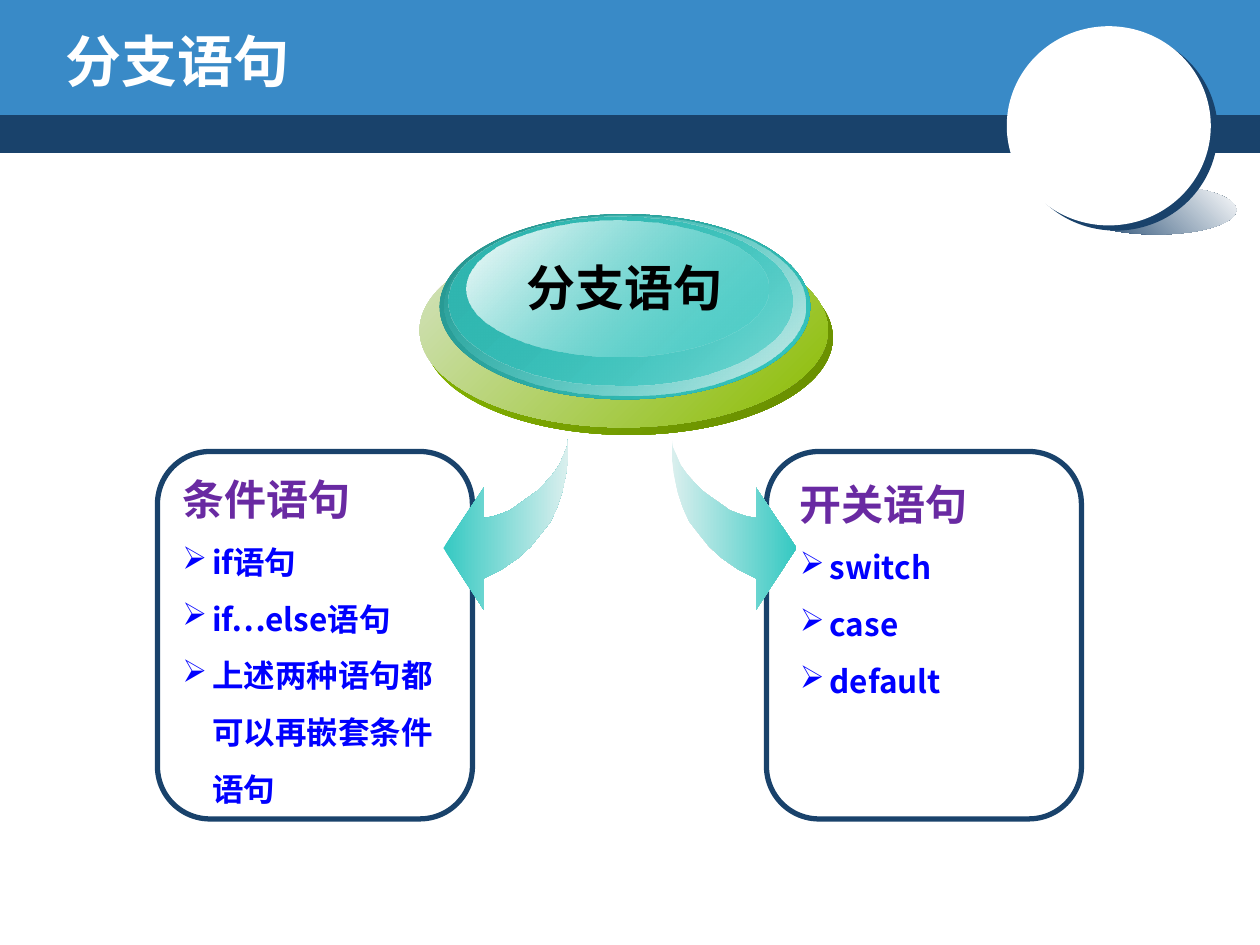
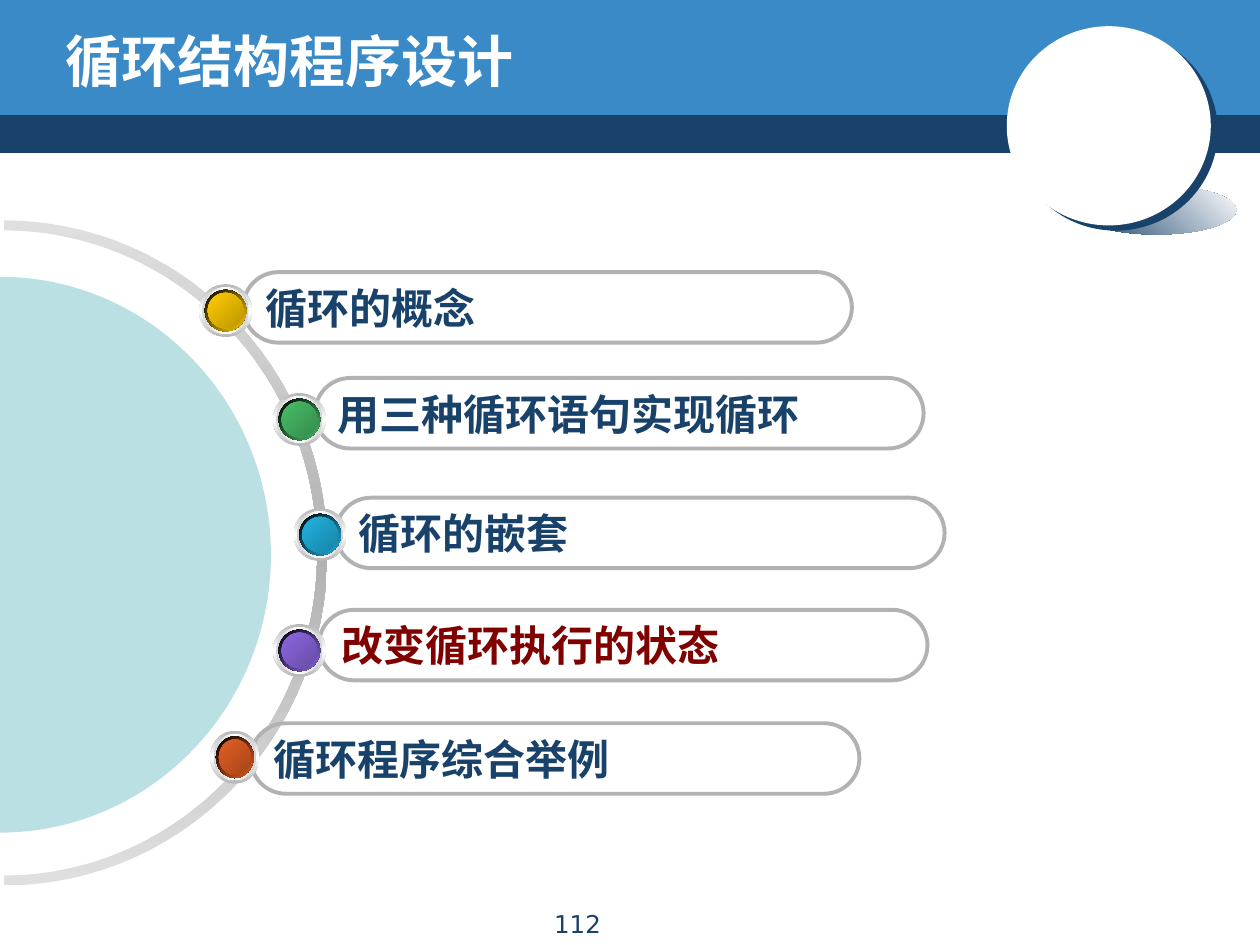
from dataclasses import dataclass
from typing import NamedTuple

from lxml import etree
from pptx import Presentation
from pptx.dml.color import RGBColor
from pptx.enum.shapes import MSO_SHAPE
from pptx.enum.text import MSO_ANCHOR, MSO_AUTO_SIZE, PP_ALIGN
from pptx.oxml import parse_xml
from pptx.oxml.ns import nsdecls, qn
from pptx.util import Pt

RECTANGLE, ROUNDED, OVAL = MSO_SHAPE.RECTANGLE, MSO_SHAPE.ROUNDED_RECTANGLE, MSO_SHAPE.OVAL
MIDDLE, TOP = MSO_ANCHOR.MIDDLE, MSO_ANCHOR.TOP
LEFT, CENTER = PP_ALIGN.LEFT, PP_ALIGN.CENTER
NO_AUTOFIT = MSO_AUTO_SIZE.NONE

WHITE = RGBColor(0xFF, 0xFF, 0xFF)
BLACK = RGBColor(0, 0, 0)
NAVY = RGBColor(0x19, 0x42, 0x6B)
SKY = RGBColor(0x39, 0x8A, 0xC7)
PURPLE = RGBColor(0x69, 0x2A, 0xA2)
BLUE = RGBColor(0, 0, 0xFF)
MAROON = RGBColor(0x80, 0, 0)
TEAL = RGBColor(0x35, 0xC9, 0xC2)
MIST = RGBColor(0xBB, 0xE0, 0xE3)
LIME = RGBColor(0x8B, 0xBC, 0x00)
GRAY = RGBColor(0xB2, 0xB2, 0xB2)
GOLD = RGBColor(0xFF, 0xCC, 0x00)
GREEN = RGBColor(0x48, 0xBE, 0x67)
CYAN = RGBColor(0x21, 0xB3, 0xE1)
VIOLET = RGBColor(0x8D, 0x67, 0xE1)
ORANGE = RGBColor(0xE3, 0x5E, 0x23)

CJK = "Noto Sans CJK SC"
CJK_PILL = "Noto Sans CJK JP"
COMIC = "Comic Neue"
NUMBER_FONT = "DejaVu Sans"
BULLET_FONT = "OpenSymbol"


class Frame(NamedTuple):
    left: float
    top: float
    width: float
    height: float

    def inset(self, by: float) -> "Frame":
        return Frame(self.left + by, self.top + by, self.width - 2 * by, self.height - 2 * by)


class Tone(NamedTuple):
    color: RGBColor
    effect: str = "alpha"
    percent: int = 100


@dataclass(frozen=True)
class Gradient:
    angle: int
    tones: tuple[Tone, ...]


@dataclass(frozen=True)
class TextStyle:
    size: float
    color: RGBColor
    font: str = CJK
    bold: bool = True


@dataclass(frozen=True)
class Card:
    outline: Frame
    text: Frame
    heading: str
    items: tuple[str, ...]


@dataclass(frozen=True)
class Topic:
    label: str
    pill_left: float
    pill_top: float
    bead: Frame
    bead_color: RGBColor
    color: RGBColor = NAVY


def blend(angle: int, *tones: Tone) -> Gradient:
    return Gradient(angle, tones)


TITLE_FRAME = Frame(30, 10.6, 582, 48)
CARDS = (
    Card(Frame(438, 258, 180, 210), Frame(450, 270, 162, 135), "开关语句",
         ("switch", "case", "default")),
    Card(Frame(90, 258, 180, 210), Frame(97.2, 267, 160.5, 200), "条件语句",
         ("if语句", "if…else语句", "上述两种语句都可以再嵌套条件语句")),
)
ARROW_OUTLINE = (
    (0, 0), (0, 10.8), (1.4, 20.9), (3.6, 31), (6.5, 39.6), (10.1, 47.5), (15.8, 54.7),
    (21.6, 61.9), (28.8, 68.4), (38.2, 74.9), (48.2, 79.9), (48.2, 97.9), (71.3, 62.6),
    (48.2, 28.1), (48.2, 45.4), (43.2, 44.6), (38.9, 43.2), (33.1, 41), (28.1, 37.4),
    (23, 33.8), (18, 30.2), (13, 25.2), (8.6, 20.2), (5, 15.1), (2.9, 10.1), (0.7, 5),
)
ARROW_TOP = 250.6
BUTTON_LAYERS = (
    (Frame(242.6, 137.5, 233.3, 111), blend(45, Tone(LIME), Tone(LIME, "shade", 50))),
    (Frame(239.8, 133.2, 233.3, 111), blend(45, Tone(LIME, "tint", 44), Tone(LIME))),
    (Frame(251.3, 122.4, 211.7, 105.8), blend(45, Tone(TEAL, "shade", 48), Tone(TEAL))),
    (Frame(254.2, 123.1, 206, 103), blend(45, Tone(TEAL, "alpha", 0), Tone(TEAL, "tint", 35))),
    (Frame(256.3, 123.8, 196.6, 96.5),
     blend(45, Tone(TEAL, "shade", 80), Tone(TEAL, "alpha", 48))),
    (Frame(266.4, 126, 172.8, 77.8), blend(45, Tone(WHITE), Tone(TEAL, "alpha", 38))),
)
TOPICS = (
    Topic("循环的概念", 139, 155.5, Frame(113.8, 162.4, 30.2, 30.2), GOLD),
    Topic("用三种循环语句实现循环", 180, 216, Frame(156, 224.6, 30.2, 30.2), GREEN),
    Topic("循环的嵌套", 192, 284.4, Frame(167.8, 290.4, 30.2, 30.2), CYAN),
    Topic("改变循环执行的状态", 182.2, 348.5, Frame(156, 356.6, 30.2, 30.2), VIOLET, MAROON),
    Topic("循环程序综合举例", 143.3, 413.3, Frame(120.2, 417.6, 28, 30.2), ORANGE),
)


def paint(shape, fill: RGBColor | Gradient | None) -> None:
    shape.shadow.inherit = False
    shape.line.fill.background()
    if fill is None:
        shape.fill.background()
        return
    shape.fill.solid()
    if isinstance(fill, RGBColor):
        shape.fill.fore_color.rgb = fill
        return
    step = 100000 // (len(fill.tones) - 1)
    stops = "".join(
        f'<a:gs pos="{i * step}"><a:srgbClr val="{tone.color}">'
        f'<a:{tone.effect} val="{tone.percent * 1000}"/></a:srgbClr></a:gs>'
        for i, tone in enumerate(fill.tones))
    gradient = parse_xml(
        f'<a:gradFill {nsdecls("a")} rotWithShape="1"><a:gsLst>{stops}</a:gsLst>'
        f'<a:lin ang="{fill.angle * 60000}" scaled="1"/></a:gradFill>')
    properties = shape._element.spPr
    properties.replace(properties.find(qn("a:solidFill")), gradient)


def add_preset(page, kind, frame: Frame, fill: RGBColor | Gradient | None):
    shape = page.shapes.add_shape(kind, *map(Pt, frame))
    paint(shape, fill)
    return shape


def add_outline(page, frame: Frame, corner: float, color: RGBColor, weight: float):
    shape = add_preset(page, ROUNDED, frame, None)
    shape.adjustments[0] = corner
    shape.line.color.rgb = color
    shape.line.width = Pt(weight)
    return shape


def add_polygon(page, points, fill: RGBColor | Gradient):
    corners = [(Pt(x), Pt(y)) for x, y in points]
    builder = page.shapes.build_freeform(*corners[0])
    builder.add_line_segments(corners[1:], close=True)
    shape = builder.convert_to_shape()
    paint(shape, fill)
    return shape


def add_curve(page, points, fill: RGBColor | Gradient) -> None:
    shape = add_polygon(page, points, fill)
    lines = list(shape._element.iter(qn("a:lnTo")))
    for first in range(0, len(points) - 1, 3):
        triple = lines[first:first + 3]
        curve = etree.Element(qn("a:cubicBezTo"))
        triple[0].addprevious(curve)
        for line in triple:
            curve.append(line[0])
            line.getparent().remove(line)


def half_arc(x: float, y: float, radius_x: float, radius_y: float) -> list[tuple[float, float]]:
    pull = 0.5523
    steps = ((0, -1), (pull, -1), (1, -pull), (1, 0), (1, pull), (pull, 1), (0, 1))
    return [(x + radius_x * across, y + radius_y * down) for across, down in steps]


def add_span(para, text: str, style: TextStyle) -> None:
    span = para.add_run()
    span.text = text
    font = span.font
    font.size, font.bold, font.name = Pt(style.size), style.bold, style.font
    font.color.rgb = style.color
    latin = span._r.rPr.find(qn("a:latin"))
    east_asian = etree.Element(qn("a:ea"))
    east_asian.set("typeface", CJK if style.font == COMIC else style.font)
    latin.addnext(east_asian)


def set_text(shape, text: str, style: TextStyle, align=LEFT, anchor=MIDDLE) -> None:
    frame = shape.text_frame
    frame.auto_size = NO_AUTOFIT
    frame.word_wrap = True
    frame.vertical_anchor = anchor
    if anchor == MIDDLE:
        frame.margin_top = frame.margin_bottom = 0
    para = frame.paragraphs[0]
    para.alignment = align
    add_span(para, text, style)


def add_label(page, frame: Frame, text: str, style: TextStyle, align=LEFT, anchor=TOP):
    box = page.shapes.add_textbox(*map(Pt, frame))
    set_text(box, text, style, align, anchor)
    return box


def add_bullet(box, text: str, style: TextStyle) -> None:
    para = box.text_frame.add_paragraph()
    properties = para._p.get_or_add_pPr()
    properties.set("marL", str(Pt(17)))
    properties.set("indent", str(Pt(-17)))
    etree.SubElement(properties, qn("a:buFont")).set("typeface", BULLET_FONT)
    etree.SubElement(properties, qn("a:buChar")).set("char", "➢")
    para.line_spacing = Pt(32.5)
    add_span(para, text, style)


def add_page(deck, title: str, title_font: str):
    page = deck.slides.add_slide(deck.slide_layouts[5])
    add_preset(page, RECTANGLE, Frame(0, 62.8, 720, 24.6), NAVY)
    add_preset(page, RECTANGLE, Frame(0, 0, 720, 65.7), SKY)
    add_preset(page, OVAL, Frame(615, 106, 91.5, 28), blend(315, Tone(NAVY), Tone(WHITE)))
    medallion = add_preset(page, OVAL, Frame(575.3, 15, 116.6, 113.8), WHITE)
    effects = medallion._element.spPr.find(qn("a:effectLst"))
    effects.append(parse_xml(
        f'<a:outerShdw {nsdecls("a")} blurRad="0" dist="{Pt(5)}" dir="{37 * 60000}" '
        f'algn="ctr" rotWithShape="0"><a:srgbClr val="{NAVY}"/></a:outerShdw>'))
    add_preset(page, OVAL, Frame(615, 49, 41, 42.5), WHITE)
    heading = page.shapes.title
    heading.left, heading.top, heading.width, heading.height = map(Pt, TITLE_FRAME)
    set_text(heading, title, TextStyle(32, WHITE, title_font))
    page.shapes._spTree.append(heading._element)
    return page


def add_card(page, card: Card) -> None:
    add_outline(page, card.outline, 0.167, NAVY, 3)
    box = add_label(page, card.text, card.heading, TextStyle(24, PURPLE))
    box.text_frame.paragraphs[0].line_spacing = Pt(28.7)
    for item in card.items:
        add_bullet(box, item, TextStyle(18, BLUE))


def add_curved_arrow(page, tail: float, direction: int) -> None:
    points = [(tail + direction * x, ARROW_TOP + y) for x, y in ARROW_OUTLINE]
    tones = (Tone(TEAL), Tone(TEAL, "tint", 31))[::-direction]
    add_polygon(page, points, blend(0, *tones))


def add_topic(page, topic: Topic) -> None:
    pill = add_outline(page, Frame(topic.pill_left, topic.pill_top, 347.8, 40.3), 0.5, GRAY, 2.25)
    set_text(pill, topic.label, TextStyle(24, topic.color, CJK_PILL))
    rim, bevel = Tone(WHITE, "shade", 47), Tone(WHITE, "shade", 64)
    bright, dark = Tone(topic.bead_color), Tone(topic.bead_color, "shade", 50)
    layers = (
        (0, blend(90, rim, Tone(WHITE), rim)),
        (1.8, blend(0, bevel, Tone(WHITE), bevel)),
        (3.2, blend(45, Tone(BLACK), bright)),
        (4.9, blend(45, bright, dark)),
    )
    for inset, fill in layers:
        add_preset(page, OVAL, topic.bead.inset(inset), fill)


def build_branch_page(deck) -> None:
    page = add_page(deck, "分支语句", CJK)
    for card in CARDS:
        add_card(page, card)
    add_curved_arrow(page, 324.7, -1)
    add_curved_arrow(page, 383.8, 1)
    for frame, fill in BUTTON_LAYERS:
        add_preset(page, OVAL, frame, fill)
    add_label(page, Frame(292.5, 138.8, 128.2, 50), "分支语句", TextStyle(28, BLACK),
              CENTER, MIDDLE)


def build_loop_page(deck) -> None:
    page = add_page(deck, "循环结构程序设计", COMIC)
    inner = half_arc(2.2, 316, 179.1, 184.3)[::-1]
    ring = half_arc(2.2, 316, 184.8, 190) + inner[:1] * 3 + inner[1:]
    edge = Tone(GRAY, "tint", 46)
    add_curve(page, ring, blend(90, edge, Tone(GRAY), edge))
    add_curve(page, half_arc(0, 317, 154.8, 158.8), MIST)
    for topic in TOPICS:
        add_topic(page, topic)
    add_label(page, Frame(246, 516, 168, 19), "112",
              TextStyle(14, NAVY, NUMBER_FONT, False), CENTER)


def main() -> None:
    deck = Presentation()
    deck.slide_width, deck.slide_height = Pt(720), Pt(540)
    build_branch_page(deck)
    build_loop_page(deck)
    deck.save("out.pptx")


if __name__ == "__main__":
    main()
